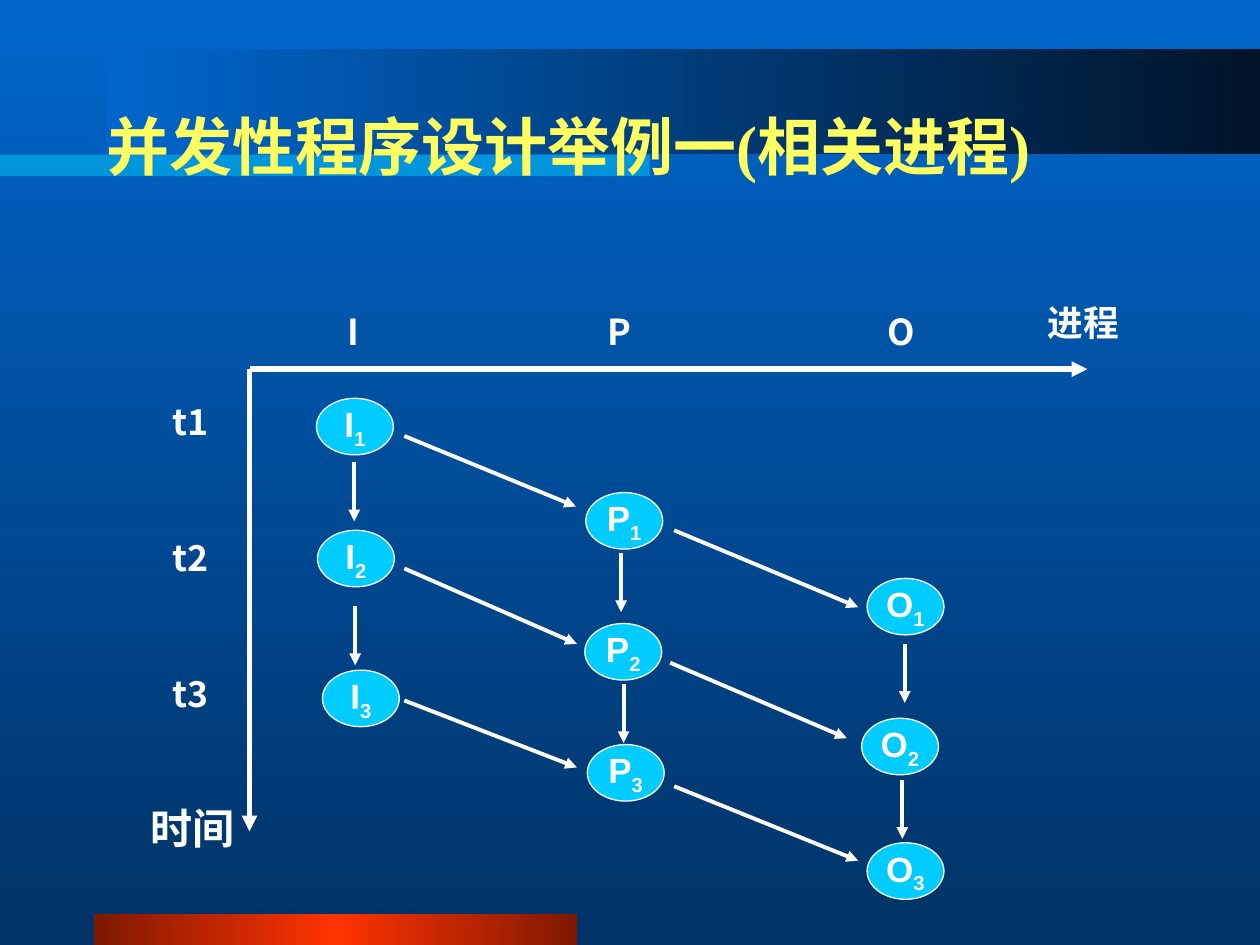
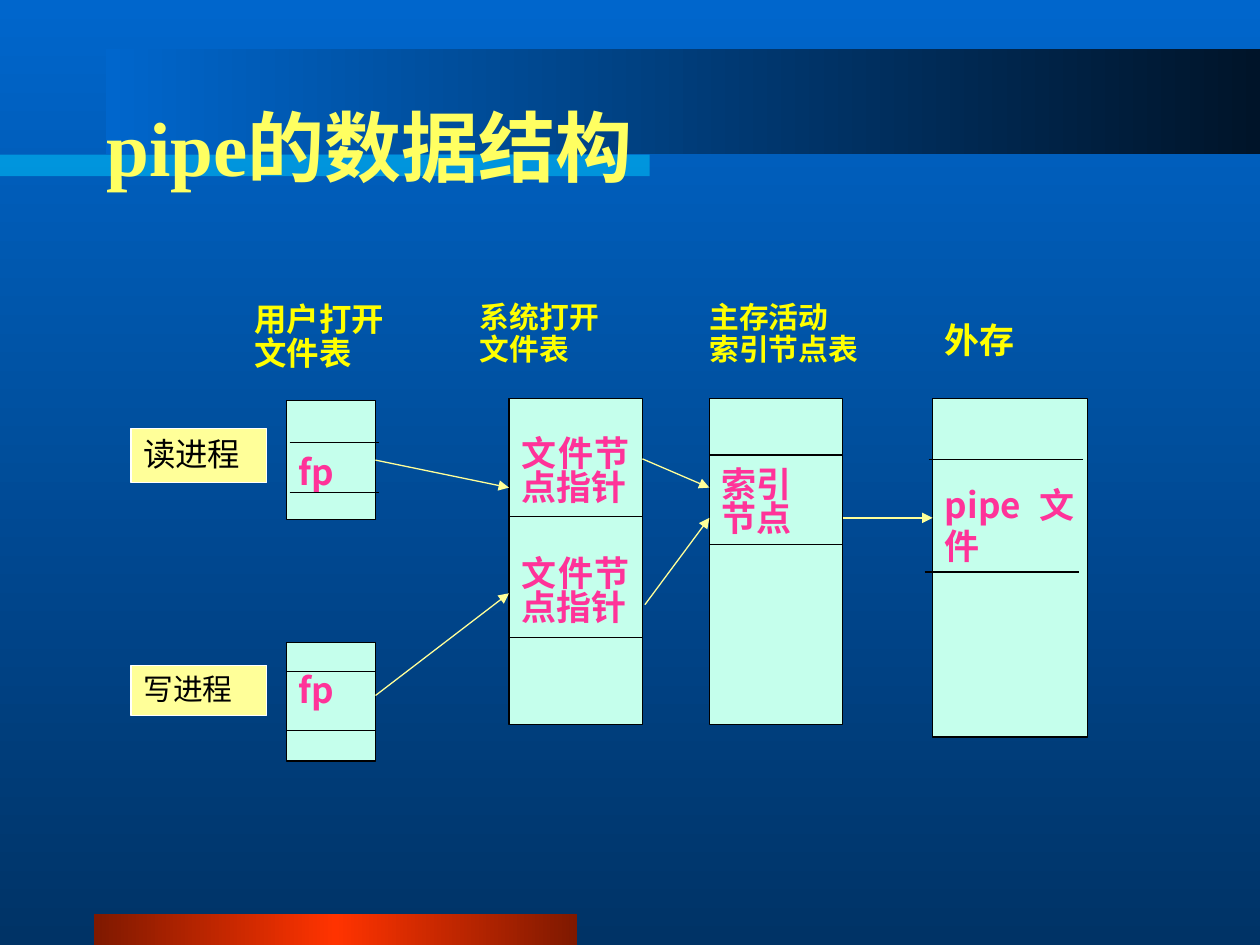
from lxml import etree
from pptx import Presentation
from pptx import util as u
from pptx.dml.color import RGBColor
from pptx.enum import shapes, text
from pptx.oxml.ns import qn

COLORS = {
    "sky": "0066CC", "deep": "003366", "night": "001429",
    "ember": "7F1900", "flame": "FF3300", "cyan": "00CCFF",
    "title": "FFFF61", "heading": "FFFF00", "tag": "FFFF99",
    "table": "C5FFEC", "entry": "FF3399", "white": "FFFFFF", "black": "000000",
}
TITLE_FONT, NODE_FONT = "Times New Roman", "Arial"
LABEL_FONT, TABLE_FONT = "Noto Sans CJK SC", "Noto Sans CJK JP"
LINE_HEIGHT = 1.17  # line pitch at single spacing, in ems
LEFT, CENTER = text.PP_ALIGN.LEFT, text.PP_ALIGN.CENTER
JUSTIFY = text.PP_ALIGN.JUSTIFY
MIDDLE = text.MSO_ANCHOR.MIDDLE
RECT, OVAL = shapes.MSO_SHAPE.RECTANGLE, shapes.MSO_SHAPE.OVAL


def rgb(color):
    return RGBColor.from_string(COLORS[color])


def cm(*lengths):
    return [u.Cm(length) for length in lengths]


def set_gradient(fill, owner, colors, angle=0):
    """Spread the colours evenly; angle runs counter-clockwise."""
    fill.gradient()
    fill.gradient_angle = angle
    stops = owner.xpath(".//a:gsLst")[0]
    for stop in list(stops):
        stops.remove(stop)
    for i, color in enumerate(colors):
        position = 100000 * i // (len(colors) - 1)
        stop = etree.SubElement(stops, qn("a:gs"), pos=str(position))
        etree.SubElement(stop, qn("a:srgbClr"), val=COLORS[color])


def add_run(paragraph, words, size, color, font, bold=True, east_asian=None):
    run = paragraph.add_run()
    run.text = words
    run.font.size = u.Pt(size)
    run.font.bold = bold
    run.font.color.rgb = rgb(color)
    run.font.name = font
    etree.SubElement(run._r.get_or_add_rPr(), qn("a:ea"),
                     typeface=east_asian or font)
    return run


def write_lines(shape, lines, size, color, font, align=LEFT, spacing=1.0,
                insets=(0.25, 0.2), gap=0, bold=True):
    """Write one paragraph a line; insets are side and top, gap is in points."""
    frame = shape.text_frame
    frame.word_wrap = True
    frame.vertical_anchor = text.MSO_ANCHOR.TOP
    side, top = cm(*insets)
    frame.margin_left = frame.margin_right = side
    frame.margin_top, frame.margin_bottom = top, 0
    for i, words in enumerate(lines):
        paragraph = frame.add_paragraph() if i else frame.paragraphs[0]
        paragraph.alignment = align
        paragraph.line_spacing = u.Pt(round(size * LINE_HEIGHT * spacing, 1))
        if i and gap:
            paragraph.space_before = u.Pt(gap)
        add_run(paragraph, words, size, color, font, bold)


def add_block(slide, kind, place, fill=None, line=None):
    block = slide.shapes.add_shape(kind, *cm(*place))
    block.shadow.inherit = False
    if fill:
        block.fill.solid()
        block.fill.fore_color.rgb = rgb(fill)
    if line:
        block.line.color.rgb = rgb(line)
        block.line.width = u.Pt(0.75)
    else:
        block.line.fill.background()
    return block


def add_line(slide, ends, color, width, arrow=False):
    line = slide.shapes.add_connector(shapes.MSO_CONNECTOR.STRAIGHT, *cm(*ends))
    line.line.color.rgb = rgb(color)
    line.line.width = u.Pt(width)
    if arrow:
        etree.SubElement(line.line._get_or_add_ln(), qn("a:tailEnd"),
                         type="triangle")
    etree.SubElement(line._element.spPr, qn("a:effectLst"))
    return line


def add_label(slide, place, words, size=20.4, spacing=0.9):
    label = slide.shapes.add_textbox(*cm(*place))
    write_lines(label, [words], size, "white", LABEL_FONT, CENTER, spacing,
                insets=(0, 0.08))


def add_node(slide, left, top, process, step):
    node = add_block(slide, OVAL, (left, top, 1.55, 1.14), "cyan", "white")
    node.text_frame.word_wrap = False
    node.text_frame.vertical_anchor = MIDDLE
    paragraph = node.text_frame.paragraphs[0]
    paragraph.alignment = CENTER
    add_run(paragraph, process, 20, "white", NODE_FONT)
    subscript = add_run(paragraph, str(step), 20, "white", NODE_FONT)
    subscript._r.get_or_add_rPr().set("baseline", "-25000")


def add_file_table(slide, place, entries, top_inset, dividers, spacing=1.0, gap=0):
    """Draw a table column; dividers are (shift from left edge, y)."""
    left, top, width, height = place
    column = add_block(slide, RECT, place, "table", "black")
    write_lines(column, entries, 20, "entry", TABLE_FONT, JUSTIFY, spacing,
                (0.25, top_inset), gap)
    for shift, y in dividers:
        add_line(slide, (left + shift, y, left + shift + width, y), "black", 0.75)
    return column


def add_base_slide(prs, title, title_size):
    slide = prs.slides.add_slide(prs.slide_layouts[6])
    set_gradient(slide.background.fill, slide._element, ["sky", "deep"], 270)
    for place, colors in [
        ((1.9, 18.42, 9.73, 0.63), ["ember", "flame", "ember"]),
        ((2.13, 0.99, 23.27, 2.11), ["sky", "night"]),
    ]:
        band = add_block(slide, RECT, place)
        set_gradient(band.fill, band._element, colors)
    stripe = add_block(slide, RECT, (0, 3.12, 13.1, 0.43), "cyan")
    fill_color = stripe._element.spPr.xpath("./a:solidFill/a:srgbClr")[0]
    etree.SubElement(fill_color, qn("a:alpha"), val="50000")

    heading = slide.shapes.add_textbox(*cm(1.9, 1.35, 21.59, 3.17))
    heading.text_frame.word_wrap = True
    heading.text_frame.vertical_anchor = MIDDLE
    add_run(heading.text_frame.paragraphs[0], title, title_size, "title",
            TITLE_FONT, east_asian=LABEL_FONT)
    return slide


def build_process_slide(prs):
    slide = add_base_slide(prs, "并发性程序设计举例一(相关进程)", 36)
    origin = (5.03, 7.44)
    for axis_end in [(21.92, 7.44), (5.03, 16.76)]:
        add_line(slide, (*origin, *axis_end), "white", 3, arrow=True)
    add_label(slide, (20.57, 6.1, 2.54, 0.86), "进程")
    add_label(slide, (2.69, 16.13, 2.39, 2.18), "时间", 24, 1.0)
    for i in range(3):
        add_label(slide, (3.33, 8.08 + 2.74 * i, 1.04, 0.86), f"t{i + 1}")

    processes = {
        "I": (6.6, [(6.38, 8.03), (6.4, 10.69), (6.5, 13.51)]),
        "P": (11.96, [(11.81, 9.93), (11.79, 12.57), (11.84, 15.01)]),
        "O": (17.65, [(17.48, 11.66), (17.37, 14.48), (17.48, 16.99)]),
    }
    for process, (label_left, nodes) in processes.items():
        add_label(slide, (label_left, 6.28, 1.04, 0.86), process)
        for step, (left, top) in enumerate(nodes, 1):
            add_node(slide, left, top, process, step)

    next_steps = [(7.14, 9.32), (7.16, 12.22), (12.52, 11.15),
                  (12.57, 13.79), (18.24, 12.98), (18.19, 15.72)]
    handovers = [
        (8.15, 8.79, 11.61, 10.21), (8.15, 11.46, 11.63, 12.98),
        (8.15, 14.12, 11.63, 15.47), (13.59, 10.69, 17.3, 12.24),
        (13.51, 13.36, 17.07, 14.88), (13.59, 15.85, 17.3, 17.35),
    ]
    for ends in [(x, y, x, y + 1.19) for x, y in next_steps] + handovers:
        add_line(slide, ends, "white", 2.25, arrow=True)


def build_pipe_slide(prs):
    slide = add_base_slide(prs, "pipe的数据结构", 44)
    for place, lines, size, spacing in [
        ((4.88, 5.92, 4.01, 1.96), ["用户打开", "文件表"], 18.5, 0.9),
        ((9.42, 5.92, 3.84, 1.85), ["系统打开", "文件表"], 17, 0.9),
        ((14.05, 5.92, 4.27, 1.78), ["主存活动", "索引节点表"], 17, 0.9),
        ((18.8, 6.25, 2.24, 1.19), ["外存"], 20, 1.0),
    ]:
        heading = slide.shapes.add_textbox(*cm(*place))
        write_lines(heading, lines, size, "heading", TABLE_FONT, spacing=spacing)

    for top, height, words, size in [(8.64, 1.09, "读进程", 18.5),
                                     (13.41, 1.02, "写进程", 17)]:
        tag = add_block(slide, RECT, (2.64, top, 2.74, height), "tag", "white")
        write_lines(tag, [words], size, "black", TABLE_FONT, spacing=0.9, bold=False)

    reader_files = add_file_table(slide, (5.77, 8.08, 1.8, 2.39), ["fp"], 1.03,
                                  [(0.07, 8.92), (0.07, 9.93)])
    add_file_table(slide, (5.77, 12.95, 1.8, 2.39), ["fp"], 0.55,
                   [(0, 13.54), (0, 14.73)])
    add_file_table(slide, (10.26, 8.03, 2.69, 6.58), ["文件节点指针"] * 2, 0.83,
                   [(0, 10.41), (0, 12.85)], 0.83, gap=29.7)
    add_file_table(slide, (14.3, 8.03, 2.69, 6.58), ["索引", "节点"], 1.45,
                   [(0, 9.17), (0, 10.97)], 0.83)
    add_file_table(slide, (18.8, 8.03, 3.12, 6.83), ["pipe文件"], 1.74,
                   [(-0.08, 9.27), (-0.16, 11.53)])

    pointers = [
        add_line(slide, ends, "tag", 0.75, arrow=True)
        for ends in [
            (7.57, 9.27, 10.26, 9.83), (7.57, 14.02, 10.26, 11.96),
            (12.95, 9.25, 14.3, 9.83), (13, 12.19, 14.3, 10.44),
            (16.99, 10.44, 18.8, 10.44),
        ]
    ]
    pointers[0].begin_connect(reader_files, 3)


def main():
    prs = Presentation()
    prs.slide_width, prs.slide_height = cm(25.4, 19.05)
    build_process_slide(prs)
    build_pipe_slide(prs)
    prs.save("out.pptx")


if __name__ == "__main__":
    main()
